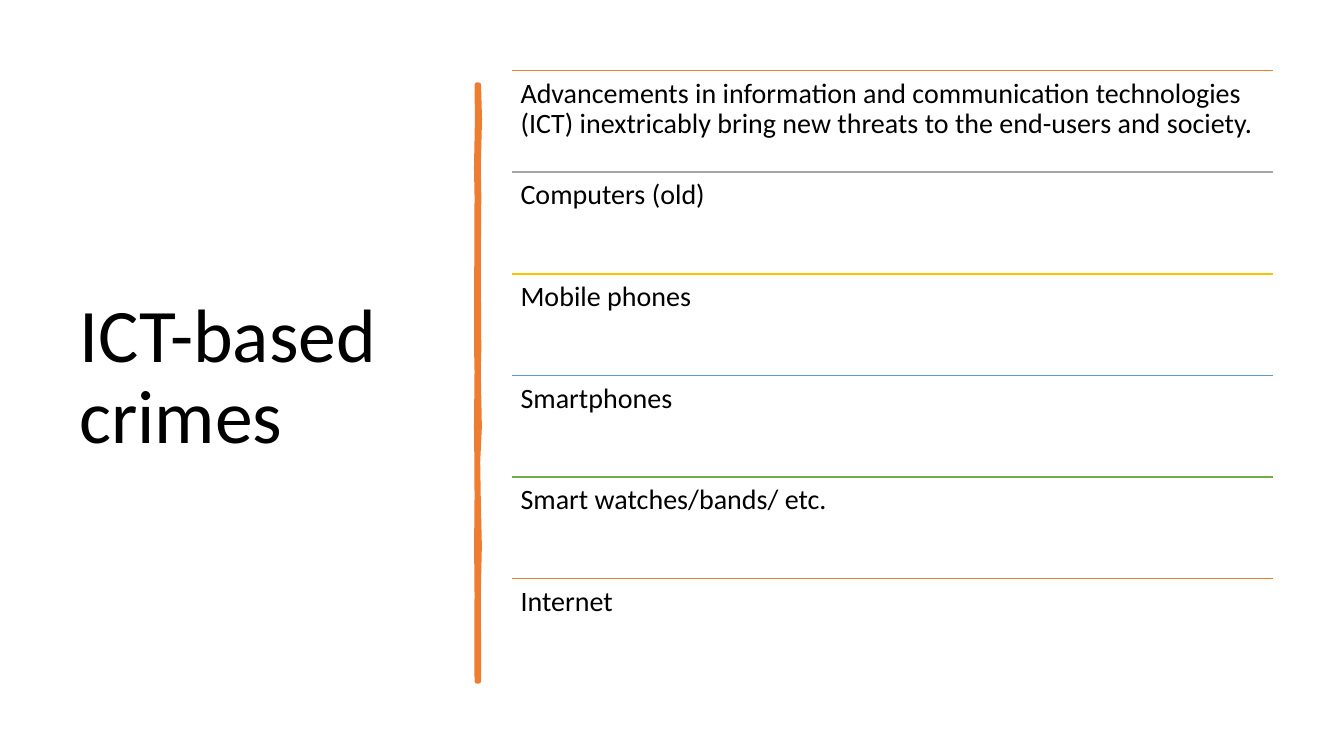
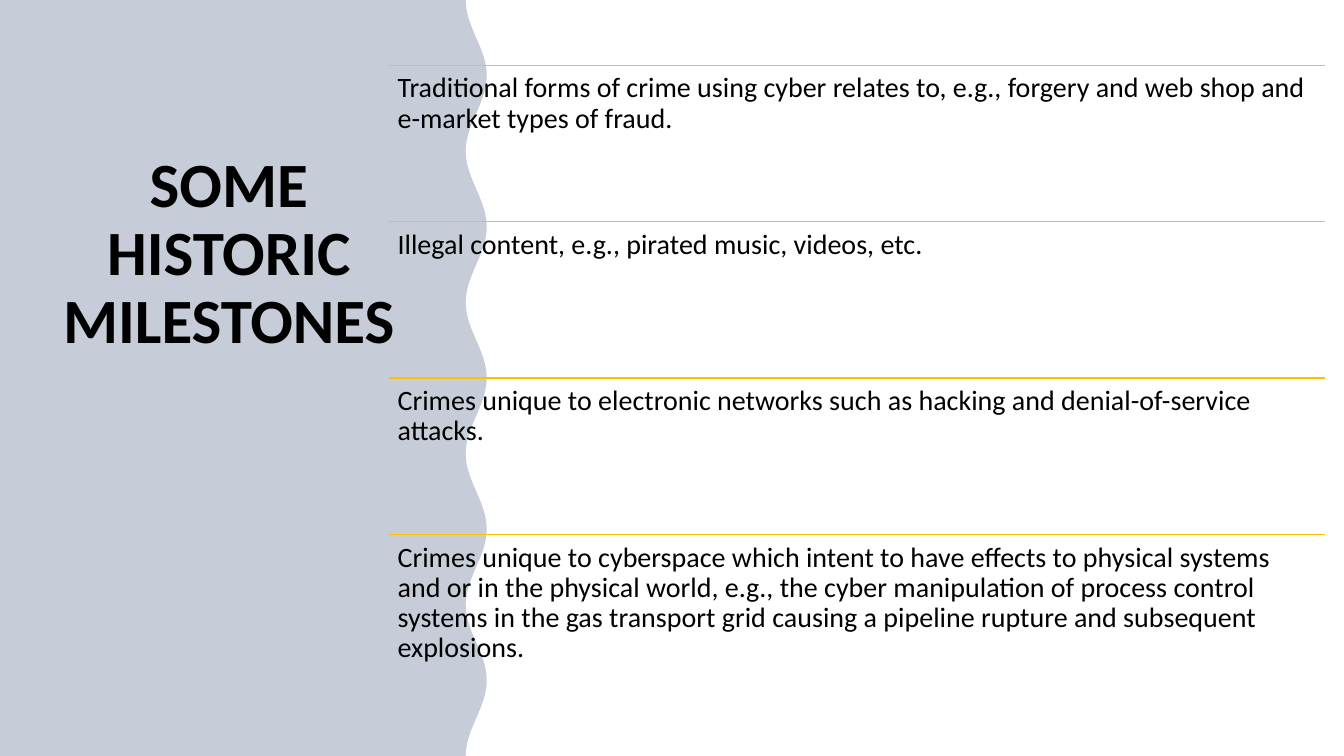
from math import cos, pi

from lxml import etree
from pptx import Presentation
from pptx.dml.color import RGBColor
from pptx.enum.shapes import MSO_CONNECTOR
from pptx.enum.text import MSO_ANCHOR, PP_ALIGN
from pptx.oxml.ns import qn
from pptx.util import Pt

FONT = "Calibri"
BLACK, ORANGE, GRAY, GOLD = "000000", "ED7D31", "A5A5A5", "FFC000"
BLUE, GREEN, NAVY = "5B9BD5", "70AD47", "203864"
SLIDE_W, SLIDE_H = 960, 540
rgb = RGBColor.from_string


def add_text(s, text, box, size, margins, anchor=MSO_ANCHOR.TOP, align=PP_ALIGN.LEFT, bold=False):
    tf = s.shapes.add_textbox(*map(Pt, box)).text_frame
    tf.word_wrap = True
    tf.vertical_anchor = anchor
    tf.margin_left = tf.margin_right = Pt(margins[0])
    tf.margin_top = tf.margin_bottom = Pt(margins[1])
    tf.text = text
    p = tf.paragraphs[0]
    p.alignment = align
    p.line_spacing = 0.9
    font = p.runs[0].font
    font.name, font.size, font.bold = FONT, Pt(size), bold
    font.color.rgb = rgb(BLACK)


def add_outline(s, points, color):
    """Draw a closed, filled polygon through points given in points."""
    points = [(Pt(x), Pt(y)) for x, y in points]
    builder = s.shapes.build_freeform(*points[0])
    builder.add_line_segments(points[1:], close=True)
    sp = builder.convert_to_shape()
    sp.shadow.inherit = False
    sp.fill.solid()
    sp.fill.fore_color.rgb = rgb(color)
    return sp


prs = Presentation()
prs.slide_width, prs.slide_height = Pt(SLIDE_W), Pt(SLIDE_H)
crimes, milestones = [prs.slides.add_slide(prs.slide_layouts[6]) for _ in range(2)]

# Title and brush stroke: each stroke row is y, left edge, right edge
add_text(crimes, "ICT-based crimes", (49.7, 50.4, 269.3, 439.9), 54, (7.2, 3.6), MSO_ANCHOR.MIDDLE)
stroke = [
    (60.5, 340.6, 342), (85, 340.9, 342.7), (120, 340.2, 341.8), (140, 340.6, 342.2),
    (190, 340.4, 341.8), (250, 340.3, 342.2), (265, 340.6, 341.8), (305, 340.2, 342.6),
    (330, 340.5, 341.4), (355, 340.6, 341.8), (390, 340.3, 342.6), (425, 340.6, 341.8),
    (455, 340.4, 342), (486.7, 340.6, 342),
]
brush = add_outline(
    crimes,
    [(right, y) for y, left, right in stroke] + [(left, y) for y, left, right in reversed(stroke)],
    ORANGE,
)
brush.line.color.rgb = rgb(ORANGE)
brush.line.width = Pt(3.25)

# Wavy side panel: five waves down the slide, then the title
wave = SLIDE_H / 5
edge = [(340.2 - 7.5 * cos(2 * pi * y / wave), y) for y in range(0, SLIDE_H + 1, 4)]
panel = add_outline(milestones, [(0, 0), *edge, (0, SLIDE_H)], NAVY)
panel.line.fill.background()
panel_color = panel.fill._xPr.find(qn("a:solidFill"))[0]
etree.SubElement(panel_color, qn("a:alpha"), val="25000")
add_text(milestones, "SOME HISTORIC MILESTONES", (36, 56.9, 254.9, 201.6), 45, (7.2, 3.6),
         MSO_ANCHOR.BOTTOM, PP_ALIGN.CENTER, True)

# Ruled lists: slide, left, top, width, row height, rows
lists = [
    (crimes, 365.8, 50.4, 543.6, 72.6, [
        (ORANGE, "Advancements in information and communication technologies (ICT) "
                 "inextricably bring new threats to the end-users and society."),
        (GRAY, "Computers (old)"),
        (GOLD, "Mobile phones"),
        (BLUE, "Smartphones"),
        (GREEN, "Smart watches/bands/ etc."),
        (ORANGE, "Internet"),
    ]),
    (milestones, 278, 46.6, 668.5, 111.7, [
        (GOLD, "Traditional forms of crime using cyber relates to, e.g., forgery and web shop "
               "and e-market types of fraud."),
        (GOLD, "Illegal content, e.g., pirated music, videos, etc."),
        (GOLD, "Crimes unique to electronic networks such as hacking and denial-of-service attacks."),
        (GOLD, "Crimes unique to cyberspace which intent to have effects to physical systems and or "
               "in the physical world, e.g., the cyber manipulation of process control systems in "
               "the gas transport grid causing a pipeline rupture and subsequent explosions."),
    ]),
]
for s, left, top, width, row_h, rows in lists:
    for i, (color, text) in enumerate(rows):
        y = top + i * row_h
        rule = s.shapes.add_connector(MSO_CONNECTOR.STRAIGHT, Pt(left), Pt(y), Pt(left + width), Pt(y))
        rule.line.color.rgb = rgb(color)
        rule.line.width = Pt(1)
        etree.SubElement(rule._element.spPr, qn("a:effectLst"))
        add_text(s, text, (left, y, width, row_h), 20, (6, 6))

prs.save("out.pptx")
